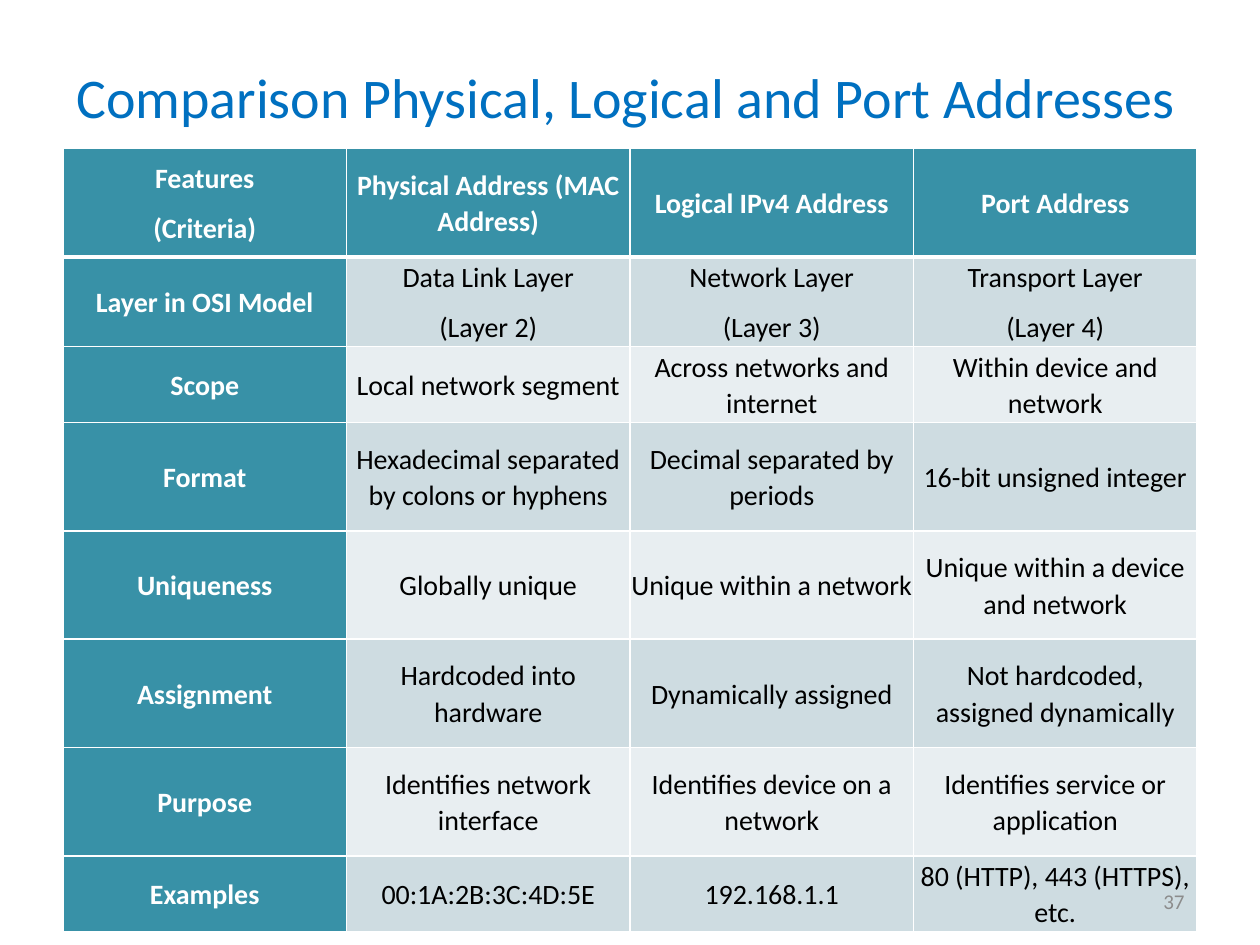
from lxml import etree
from pptx import Presentation
from pptx.dml.color import RGBColor
from pptx.enum import text
from pptx.oxml import ns
from pptx.util import Pt

COLORS = {
    "title": "0070C0", "header": "3891A7", "band_dark": "CEDCE1",
    "band_light": "E8EEF1", "white": "FFFFFF", "black": "000000",
    "number": "8C8C8C",
}


def format_text(frame, size, color, align, bold=False):
    frame.word_wrap = True
    frame.vertical_anchor = text.MSO_ANCHOR.MIDDLE
    for paragraph in frame.paragraphs:
        paragraph.alignment = align
        for run in paragraph.runs:
            run.font.name = "Calibri"
            run.font.size = Pt(size)
            run.font.bold = bold
            run.font.color.rgb = RGBColor.from_string(COLORS[color])


def add_border(cell, side, width):
    line = etree.SubElement(cell._tc.get_or_add_tcPr(), ns.qn(f"a:ln{side}"), w=str(Pt(width)))
    fill = etree.SubElement(line, ns.qn("a:solidFill"))
    etree.SubElement(fill, ns.qn("a:srgbClr"), val=COLORS["white"])


prs = Presentation()
prs.slide_width, prs.slide_height = Pt(720), Pt(540)
slide = prs.slides.add_slide(prs.slide_layouts[5])

# Title
title = slide.shapes.title
title.left, title.top, title.width, title.height = Pt(33.84), Pt(23.76), Pt(648), Pt(62.64)
title.text_frame.text = "Comparison Physical, Logical and Port Addresses"
format_text(title.text_frame, 32, "title", text.PP_ALIGN.CENTER)

# Comparison table
features = [
    ("Features\n(Criteria)", "Physical Address (MAC Address)", "Logical IPv4 Address", "Port Address"),
    ("Layer in OSI Model", "Data Link Layer\n(Layer 2)", "Network Layer\n(Layer 3)",
     "Transport Layer\n(Layer 4)"),
    ("Scope", "Local network segment", "Across networks and internet", "Within device and network"),
    ("Format", "Hexadecimal separated by colons or hyphens", "Decimal separated by periods",
     "16-bit unsigned integer"),
    ("Uniqueness", "Globally unique", "Unique within a network", "Unique within a device and network"),
    ("Assignment", "Hardcoded into hardware", "Dynamically assigned", "Not hardcoded, assigned dynamically"),
    ("Purpose", "Identifies network interface", "Identifies device on a network",
     "Identifies service or application"),
    ("Examples", "00:1A:2B:3C:4D:5E", "192.168.1.1", "80 (HTTP), 443 (HTTPS), etc."),
]
short_rows = (1, 2, 7)
comparison = slide.shapes.add_table(
    len(features), 4, Pt(36), Pt(84.96), Pt(648), Pt(442)).table
for column in comparison.columns:
    column.width = Pt(162)

for r, feature in enumerate(features):
    comparison.rows[r].height = Pt(31.68 if r in short_rows else 61.92)
    for c, wording in enumerate(feature):
        cell = comparison.cell(r, c)
        heading = r == 0 or c == 0
        # The rule below the header row is thicker than the others
        widths = {"L": 1, "R": 1, "T": 3 if r == 1 else 1, "B": 3 if r == 0 else 1}
        for side, width in widths.items():
            add_border(cell, side, width)
        band = "header" if heading else "band_dark" if r % 2 else "band_light"
        cell.fill.solid()
        cell.fill.fore_color.rgb = RGBColor.from_string(COLORS[band])
        cell.margin_left = cell.margin_right = Pt(0.72)
        cell.margin_top = cell.margin_bottom = Pt(0.72)
        cell.vertical_anchor = text.MSO_ANCHOR.MIDDLE
        cell.text_frame.text = wording
        format_text(cell.text_frame, 16, "white" if heading else "black",
                    text.PP_ALIGN.CENTER, heading)
        for paragraph in cell.text_frame.paragraphs:
            paragraph.line_spacing = 1.07
            paragraph.space_after = Pt(8)

# Slide number
number = slide.shapes.add_textbox(Pt(516), Pt(500.4), Pt(168), Pt(28.8))
number.text_frame.text = "37"
format_text(number.text_frame, 12, "number", text.PP_ALIGN.RIGHT)

prs.save("out.pptx")
